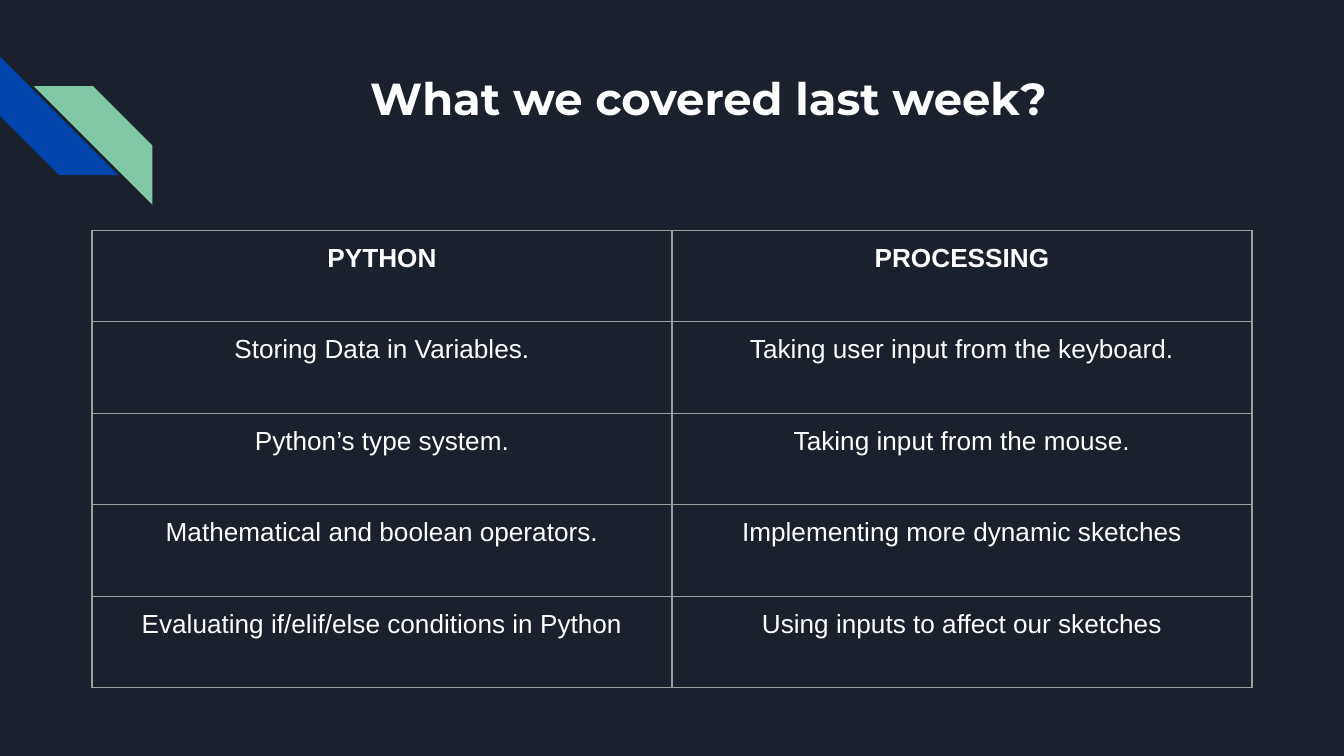
"""Build the slide that recaps last week's Python and Processing topics."""
from typing import NamedTuple

from lxml.etree import SubElement
from pptx import Presentation
from pptx.dml.color import RGBColor
from pptx.enum.shapes import MSO_SHAPE
from pptx.enum.text import MSO_ANCHOR, PP_ALIGN
from pptx.oxml.ns import qn
from pptx.slide import Slide
from pptx.table import _Cell
from pptx.text.text import TextFrame
from pptx.util import Cm, Pt

COLORS = {
    "background": "1B212C",
    "text": "FFFFFF",
    "blue": "0145AC",
    "green": "82C7A5",
    "border": "9E9E9E",
}
MARGIN = Cm(0.25)
STRIPE_SIZE = Cm(2.24)
COLUMN_WIDTH = Cm(10.96)
ROW_HEIGHT = Cm(1.73)


class Stripe(NamedTuple):
    left: float
    top: float
    rotation: int
    color: str


class Topics(NamedTuple):
    python: str
    processing: str


STRIPES = [
    Stripe(0, 1.07, 270, "blue"),
    Stripe(0.64, 1.63, 90, "green"),
]
TOPICS = [
    Topics("PYTHON", "PROCESSING"),
    Topics("Storing Data in Variables.", "Taking user input from the keyboard."),
    Topics("Python’s type system.", "Taking input from the mouse."),
    Topics("Mathematical and boolean operators.", "Implementing more dynamic sketches"),
    Topics("Evaluating if/elif/else conditions in Python", "Using inputs to affect our sketches"),
]


def rgb(name: str) -> RGBColor:
    return RGBColor.from_string(COLORS[name])


def write(frame: TextFrame, text: str, font: str, size: int, bold: bool) -> None:
    paragraph = frame.paragraphs[0]
    paragraph.alignment = PP_ALIGN.CENTER
    run = paragraph.add_run()
    run.text = text
    run.font.name = font
    run.font.size = Pt(size)
    run.font.bold = bold
    run.font.color.rgb = rgb("text")


def set_margins(holder: TextFrame | _Cell) -> None:
    holder.margin_left = holder.margin_right = MARGIN
    holder.margin_top = holder.margin_bottom = MARGIN


def draw_stripe(slide: Slide, stripe: Stripe) -> None:
    band = slide.shapes.add_shape(
        MSO_SHAPE.DIAGONAL_STRIPE, Cm(stripe.left), Cm(stripe.top), STRIPE_SIZE, STRIPE_SIZE
    )
    band.rotation = stripe.rotation
    band.shadow.inherit = False
    band.fill.solid()
    band.fill.fore_color.rgb = rgb(stripe.color)
    band.line.fill.background()


def draw_title(slide: Slide, text: str) -> None:
    title = slide.shapes.title
    title.left, title.top = Cm(3.61), Cm(1.09)
    title.width, title.height = Cm(19.56), Cm(2.54)
    frame = title.text_frame
    frame.word_wrap = True
    frame.vertical_anchor = MSO_ANCHOR.TOP
    set_margins(frame)
    write(frame, text, "Montserrat", 24, True)


def outline(cell: _Cell) -> None:
    properties = cell._tc.get_or_add_tcPr()
    for side in ("a:lnL", "a:lnR", "a:lnT", "a:lnB"):
        border = SubElement(properties, qn(side), w=str(Pt(0.75)))
        fill = SubElement(border, qn("a:solidFill"))
        SubElement(fill, qn("a:srgbClr"), val=COLORS["border"])


def draw_topics(slide: Slide, topics: list[Topics]) -> None:
    table = slide.shapes.add_table(
        len(topics), 2, Cm(1.74), Cm(4.35), 2 * COLUMN_WIDTH, len(topics) * ROW_HEIGHT
    ).table
    table.first_row = table.horz_banding = False
    for column in table.columns:
        column.width = COLUMN_WIDTH
    for index, pair in enumerate(topics):
        table.rows[index].height = ROW_HEIGHT
        for cell, text in zip(table.rows[index].cells, pair):
            set_margins(cell)
            outline(cell)
            cell.fill.background()
            write(cell.text_frame, text, "Arial", 14, index == 0)


def main() -> None:
    deck = Presentation()
    deck.slide_width, deck.slide_height = Cm(25.4), Cm(14.29)
    slide = deck.slides.add_slide(deck.slide_layouts[5])
    slide.background.fill.solid()
    slide.background.fill.fore_color.rgb = rgb("background")
    for stripe in STRIPES:
        draw_stripe(slide, stripe)
    draw_title(slide, "What we covered last week?")
    draw_topics(slide, TOPICS)
    deck.save("out.pptx")


if __name__ == "__main__":
    main()
